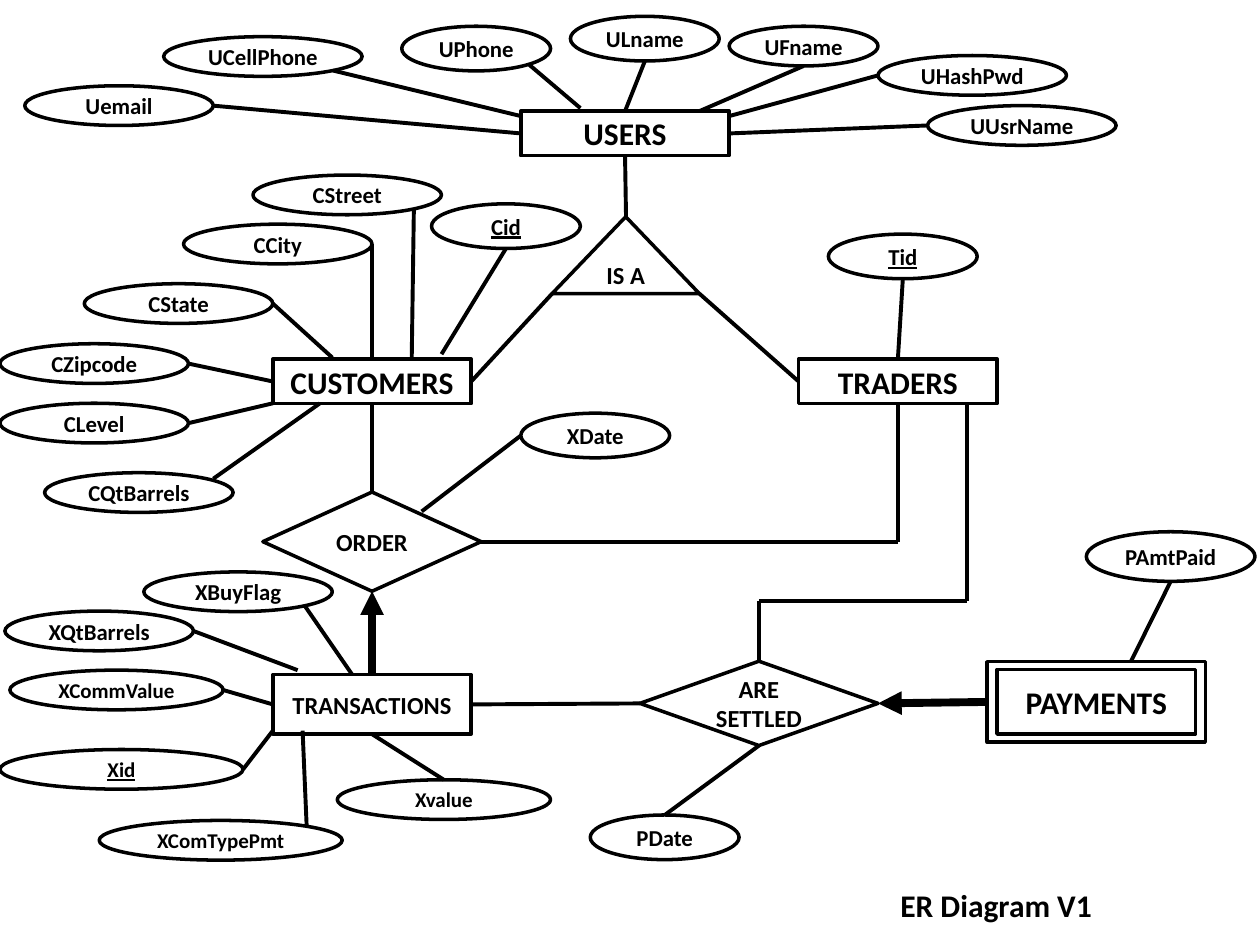
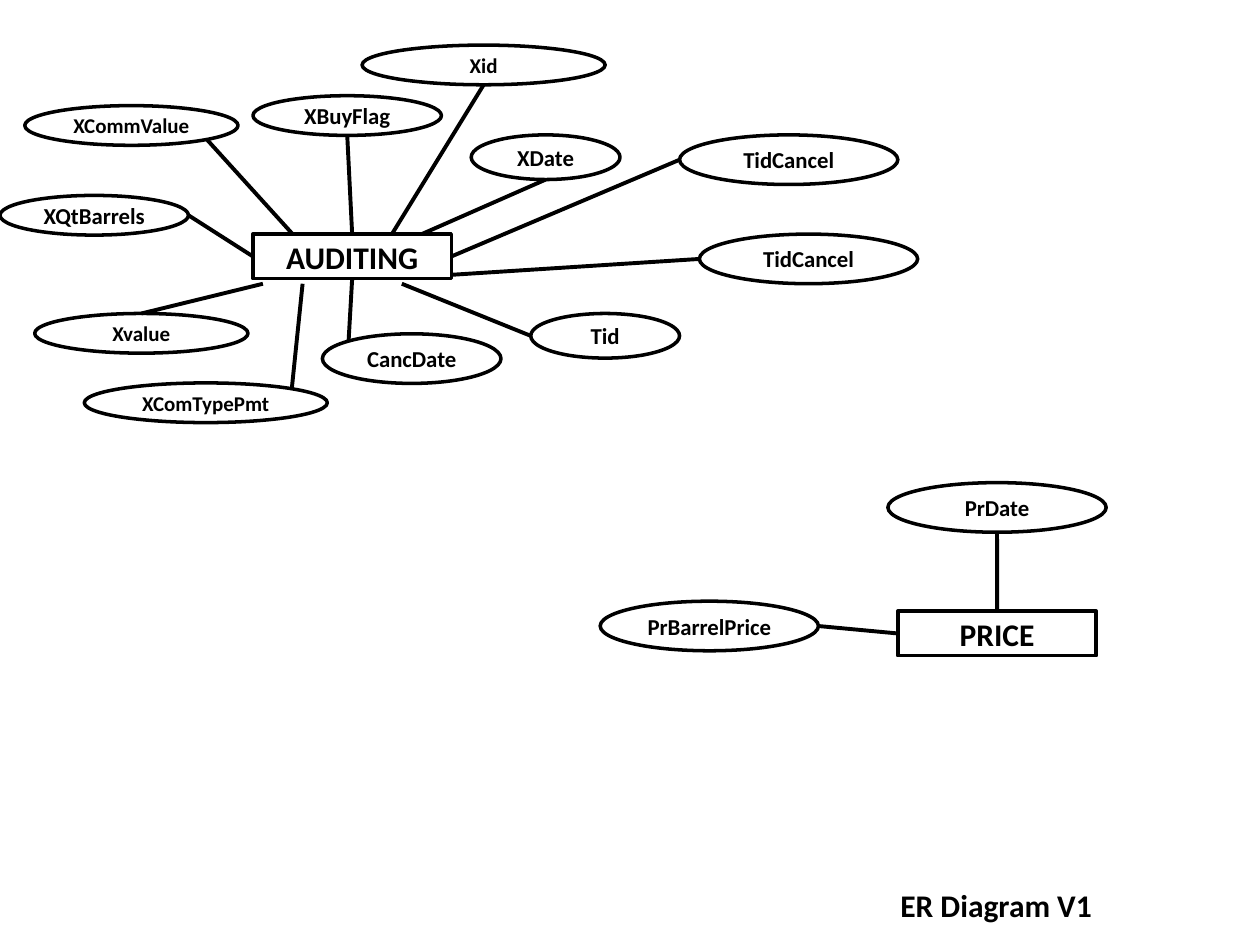
"""Builds a two-slide entity-relationship diagram of a trading database."""
import math
from dataclasses import dataclass
from typing import NamedTuple, Union

import pptx
import pptx.dml.color
import pptx.enum.shapes
import pptx.enum.text
import pptx.oxml
import pptx.oxml.ns
import pptx.util

Cm = pptx.util.Cm
Pt = pptx.util.Pt
Preset = pptx.enum.shapes.MSO_SHAPE
Align = pptx.enum.text.PP_ALIGN

INK = pptx.dml.color.RGBColor(0x00, 0x00, 0x00)
PAPER = pptx.dml.color.RGBColor(0xFF, 0xFF, 0xFF)
FONT = "Calibri"
OUTLINE, LINK, ARROW = 2, 2.25, 4.5
FRAME_GAP_X, FRAME_GAP_Y = 0.2, 0.16
TOP, LEFT, BOTTOM, RIGHT = range(4)
DIAGONAL = math.sqrt(0.5)
COMPASS = {
    "n": (0, -1), "s": (0, 1), "e": (1, 0), "w": (-1, 0),
    "ne": (DIAGONAL, -DIAGONAL), "se": (DIAGONAL, DIAGONAL), "nw": (-DIAGONAL, -DIAGONAL),
}


class Point(NamedTuple):
    x: float
    y: float


class Joint(NamedTuple):
    entity: str
    side: int


class Oval(NamedTuple):
    width: float
    height: float
    size: float = 13


End = Union[Point, Joint]

SMALL, FLAT, MEDIUM = Oval(3, 0.9), Oval(3, 0.8), Oval(3.8, 0.8)
LONG, WIDE, WIDEST = Oval(4, 0.8), Oval(4.3, 0.8, 12), Oval(4.9, 0.8, 12)
PAID, CANCELLED, TALL = Oval(3.4, 1), Oval(3.6, 1), Oval(4.4, 1)


@dataclass(frozen=True)
class Entity:
    label: str
    left: float
    top: float
    width: float = 4
    height: float = 0.9
    size: float = 18
    outline: Preset = Preset.RECTANGLE
    framed: bool = False


@dataclass(frozen=True)
class Attribute:
    label: str
    left: float
    top: float
    oval: Oval
    leaves: Union[str, Point]
    end: End
    key: bool = False


@dataclass(frozen=True)
class Relation:
    start: End
    end: End
    arrow: bool = False


@dataclass(frozen=True)
class Diagram:
    entities: list
    attributes: list
    relations: list


TRADING = Diagram(
    entities=[
        Entity("TRANSACTIONS", 5.5, 13.6, height=1.2, size=14),
        Entity("USERS", 10.5, 2.24, width=4.2),
        Entity("IS A", 11.13, 4.37, 2.97, 1.55, 14, Preset.ISOSCELES_TRIANGLE),
        Entity("CUSTOMERS", 5.5, 7.24),
        Entity("TRADERS", 16.1, 7.24),
        Entity("ORDER", 5.3, 9.92, 4.4, 2, 14, Preset.FLOWCHART_DECISION),
        Entity("ARE SETTLED", 12.9, 13.33, 4.8, 1.7, 14, Preset.FLOWCHART_DECISION),
        Entity("PAYMENTS", 20.1, 13.5, height=1.3, framed=True),
    ],
    attributes=[
        Attribute("UFname", 14.7, 0.53, FLAT, "s", Point(14.1, 2.24)),
        Attribute("ULname", 11.5, 0.33, SMALL, "s", Joint("USERS", TOP)),
        Attribute("UPhone", 8.1, 0.53, SMALL, "se", Point(11.7, 2.18)),
        Attribute("UCellPhone", 3.3, 0.74, LONG, "se", Point(10.5, 2.34)),
        Attribute("Uemail", 0.5, 1.73, MEDIUM, "e", Joint("USERS", LEFT)),
        Attribute("UHashPwd", 17.7, 1.12, MEDIUM, "w", Point(14.7, 2.34)),
        Attribute("UUsrName", 18.7, 2.13, MEDIUM, "w", Joint("USERS", RIGHT)),
        Attribute("CStreet", 5.1, 3.53, MEDIUM, "se", Point(8.3, 7.21)),
        Attribute("Cid", 8.7, 4.11, SMALL, "s", Point(8.9, 7.14), key=True),
        Attribute("CCity", 3.7, 4.52, MEDIUM, "e", Joint("CUSTOMERS", TOP)),
        Attribute("CState", 1.7, 5.72, MEDIUM, "e", Point(6.7, 7.21)),
        Attribute("CZipcode", 0, 6.93, MEDIUM, "e", Joint("CUSTOMERS", LEFT)),
        Attribute("CLevel", 0, 8.13, MEDIUM, "e", Point(5.5, 8.13)),
        Attribute("CQtBarrels", 0.9, 9.53, MEDIUM, Point(4.3, 9.65), Point(6.45, 8.13)),
        Attribute("Tid", 16.7, 4.72, SMALL, "s", Joint("TRADERS", TOP), key=True),
        Attribute("XBuyFlag", 2.9, 11.53, MEDIUM, "se", Point(7.1, 13.6)),
        Attribute("XQtBarrels", 0.1, 12.32, MEDIUM, "e", Point(6, 13.51)),
        Attribute("XCommValue", 0.2, 13.51, WIDE, "e", Joint("TRANSACTIONS", LEFT)),
        Attribute("Xvalue", 6.8, 15.72, WIDE, "n", Joint("TRANSACTIONS", BOTTOM)),
        Attribute("XComTypePmt", 2, 16.54, WIDEST, "ne", Point(6.1, 14.73)),
        Attribute("Xid", 0, 15.11, WIDEST, "e", Point(5.5, 14.73), key=True),
        Attribute("XDate", 10.5, 8.33, SMALL, "w", Point(8.5, 10.31)),
        Attribute("PDate", 11.9, 16.43, SMALL, "n", Joint("ARE SETTLED", BOTTOM)),
        Attribute("PAmtPaid", 21.9, 10.72, PAID, "s", Point(22.8, 13.33)),
    ],
    relations=[
        Relation(Point(11.13, 5.92), Joint("CUSTOMERS", RIGHT)),
        Relation(Point(14.1, 5.92), Joint("TRADERS", LEFT)),
        Relation(Joint("USERS", BOTTOM), Point(12.62, 4.37)),
        Relation(Joint("CUSTOMERS", BOTTOM), Joint("ORDER", TOP)),
        Relation(Joint("TRANSACTIONS", TOP), Joint("ORDER", BOTTOM), arrow=True),
        Relation(Joint("TRANSACTIONS", RIGHT), Joint("ARE SETTLED", LEFT)),
        Relation(Joint("PAYMENTS", LEFT), Joint("ARE SETTLED", RIGHT), arrow=True),
        Relation(Point(18.1, 10.92), Joint("TRADERS", BOTTOM)),
        Relation(Joint("ORDER", RIGHT), Point(18.1, 10.92)),
        Relation(Point(19.5, 12.12), Point(19.5, 8.13)),
        Relation(Point(15.3, 12.12), Point(19.5, 12.12)),
        Relation(Point(15.3, 12.12), Joint("ARE SETTLED", TOP)),
    ],
)

AUDIT = Diagram(
    entities=[Entity("AUDITING", 5.1, 4.72), Entity("PRICE", 18.1, 12.32)],
    attributes=[
        Attribute("XBuyFlag", 5.1, 1.93, MEDIUM, "s", Joint("AUDITING", TOP)),
        Attribute("XQtBarrels", 0, 3.94, MEDIUM, "e", Joint("AUDITING", LEFT)),
        Attribute("XCommValue", 0.5, 2.13, WIDE, "se", Point(5.9, 4.72)),
        Attribute("Xvalue", 0.7, 6.32, WIDE, "n", Point(5.3, 5.72)),
        Attribute("XComTypePmt", 1.7, 7.72, WIDEST, "ne", Point(6.1, 5.72)),
        Attribute("Xid", 7.3, 0.91, WIDEST, "s", Point(7.9, 4.72)),
        Attribute("CancDate", 6.5, 6.73, CANCELLED, "nw", Joint("AUDITING", BOTTOM)),
        Attribute("XDate", 9.5, 2.72, SMALL, "s", Point(8.5, 4.72)),
        Attribute("Tid", 10.7, 6.32, SMALL, "w", Point(8.1, 5.72)),
        Attribute("TidCancel", 13.7, 2.72, TALL, "w", Joint("AUDITING", RIGHT)),
        Attribute("TidCancel", 14.1, 4.72, TALL, "w", Point(9.1, 5.54)),
        Attribute("PrDate", 17.9, 9.73, TALL, "s", Joint("PRICE", TOP)),
        Attribute("PrBarrelPrice", 12.1, 12.12, TALL, "e", Joint("PRICE", LEFT)),
    ],
    relations=[],
)


def write(shape, text: str, *, size: float, align=Align.CENTER, underline: bool = False) -> None:
    """Put bold text into a shape."""
    shape.text_frame.word_wrap = True
    paragraph = shape.text_frame.paragraphs[0]
    paragraph.alignment = align
    run = paragraph.add_run()
    run.text = text
    run.font.name = FONT
    run.font.size = Pt(size)
    run.font.bold = True
    run.font.color.rgb = INK
    if underline:
        run.font.underline = True


def draw_outline(slide, preset: Preset, left: float, top: float, width: float, height: float):
    """Add an unfilled preset shape with a black outline."""
    shape = slide.shapes.add_shape(preset, Cm(left), Cm(top), Cm(width), Cm(height))
    shape.shadow.inherit = False
    shape.fill.background()
    shape.line.color.rgb = INK
    shape.line.width = Pt(OUTLINE)
    return shape


def draw_entity(slide, entity: Entity):
    """Draw an entity and return the shape that its links join."""
    box = draw_outline(slide, entity.outline, entity.left, entity.top, entity.width, entity.height)
    write(box, entity.label, size=entity.size)
    if not entity.framed:
        return box
    return draw_outline(slide, entity.outline,
                        entity.left - FRAME_GAP_X, entity.top - FRAME_GAP_Y,
                        entity.width + 2 * FRAME_GAP_X, entity.height + 2 * FRAME_GAP_Y)


def draw_relation(slide, relation: Relation, boxes: dict) -> None:
    """Draw a straight link, joined to entities where it meets them."""
    ends = [Point(0, 0) if isinstance(end, Joint) else end for end in (relation.start, relation.end)]
    line = slide.shapes.add_connector(pptx.enum.shapes.MSO_CONNECTOR.STRAIGHT,
                                      *(Cm(value) for end in ends for value in end))
    for end, connect in ((relation.start, line.begin_connect), (relation.end, line.end_connect)):
        if isinstance(end, Joint):
            connect(boxes[end.entity], end.side)
    line.line.color.rgb = INK
    line.line.width = Pt(ARROW if relation.arrow else LINK)
    if relation.arrow:
        tail = pptx.oxml.parse_xml(f'<a:tailEnd {pptx.oxml.ns.nsdecls("a")} type="triangle"/>')
        line.line._get_or_add_ln().append(tail)
    properties = line._element.spPr
    properties.append(pptx.oxml.parse_xml(f'<a:effectLst {pptx.oxml.ns.nsdecls("a")}/>'))


def rim_point(attribute: Attribute) -> Point:
    """Find where the link leaves the oval of an attribute."""
    if isinstance(attribute.leaves, Point):
        return attribute.leaves
    across, down = COMPASS[attribute.leaves]
    return Point(attribute.left + attribute.oval.width * (1 + across) / 2,
                 attribute.top + attribute.oval.height * (1 + down) / 2)


def draw_attribute(slide, attribute: Attribute, boxes: dict) -> None:
    """Draw an attribute oval and its link."""
    width, height, size = attribute.oval
    oval = draw_outline(slide, Preset.OVAL, attribute.left, attribute.top, width, height)
    write(oval, attribute.label, size=size, underline=attribute.key)
    draw_relation(slide, Relation(rim_point(attribute), attribute.end), boxes)


def draw_caption(slide) -> None:
    """Add the diagram caption at the lower right."""
    caption = slide.shapes.add_textbox(Cm(17.9), Cm(17.73), Cm(7), Cm(1.02))
    write(caption, "ER Diagram V1", size=18, align=Align.LEFT)
    caption.text_frame.auto_size = pptx.enum.text.MSO_AUTO_SIZE.SHAPE_TO_FIT_TEXT


def draw_diagram(presentation, diagram: Diagram) -> None:
    """Add one slide holding a whole diagram."""
    slide = presentation.slides.add_slide(presentation.slide_layouts[6])
    slide.background.fill.solid()
    slide.background.fill.fore_color.rgb = PAPER
    boxes = {entity.label: draw_entity(slide, entity) for entity in diagram.entities}
    for relation in diagram.relations:
        draw_relation(slide, relation, boxes)
    for attribute in diagram.attributes:
        draw_attribute(slide, attribute, boxes)
    draw_caption(slide)


def main() -> None:
    """Build and save the presentation."""
    presentation = pptx.Presentation()
    presentation.slide_width, presentation.slide_height = Cm(25.4), Cm(19.05)
    for diagram in (TRADING, AUDIT):
        draw_diagram(presentation, diagram)
    presentation.save("out.pptx")


if __name__ == "__main__":
    main()
